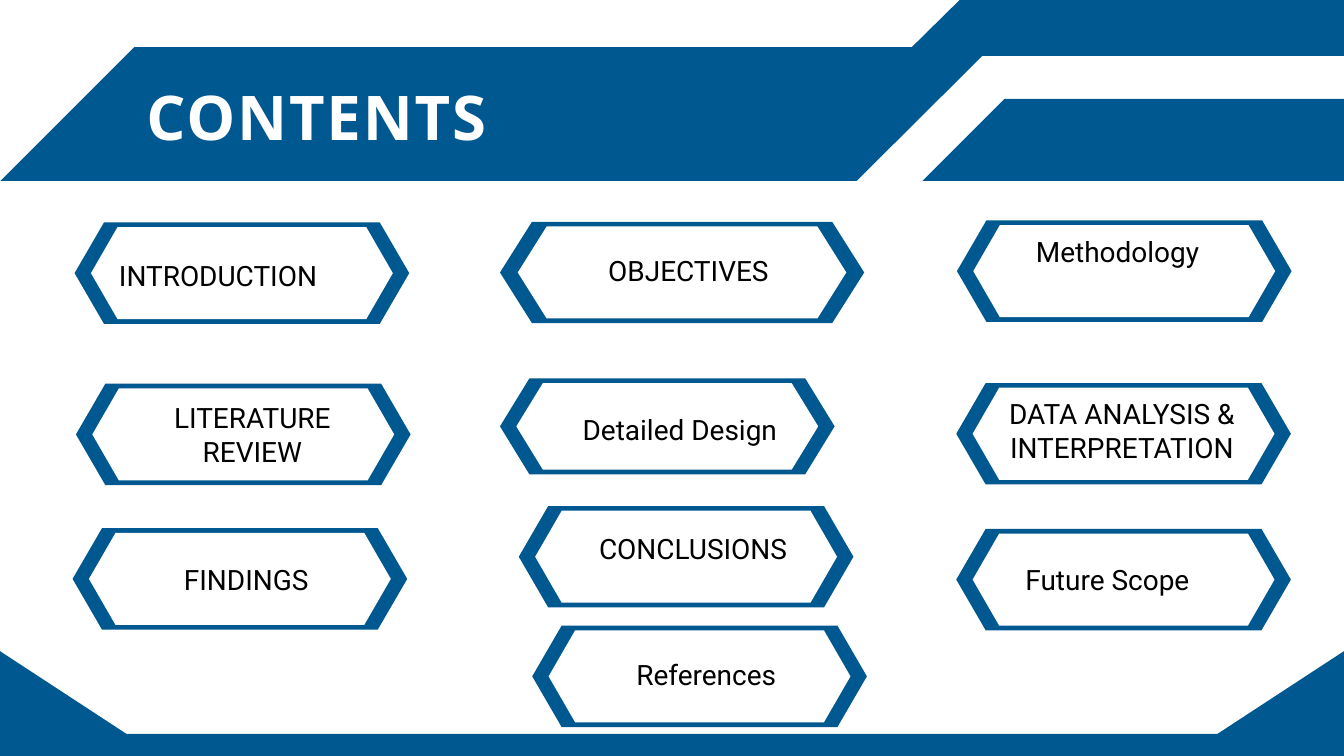
import pptx
import pptx.dml.color
import pptx.enum.shapes
import pptx.enum.text
import pptx.util
from dataclasses import dataclass

ALIGN = pptx.enum.text.PP_ALIGN


@dataclass(frozen=True)
class Theme:
    blue: str = "005891"
    white: str = "FFFFFF"
    black: str = "000000"
    title_font: str = "Noto Sans"
    body_font: str = "Roboto"
    title_size: float = 66
    body_size: float = 30


COLS, ROWS = 20, 11.25
UNIT = pptx.util.Inches(1)  # one grid column is as wide as one row is high
CARD_W, CARD_H = 4.98, 1.51
TIP = 0.088                 # hexagon tip as a share of its width
INNER_W, RIM = 0.902, 0.07  # inner width as a share, rim above and below

# card left, top, text, text left, top, width, format
CARDS = [
    (1.11, 3.31, "INTRODUCTION", 1.76, 3.83, 3.88,
     dict(align=ALIGN.LEFT, indent=0.01, before=1)),
    (7.44, 3.3, "OBJECTIVES", 8.45, 3.76, 3.17, dict(card_w=5.42)),
    (14.24, 3.28, "Methodology", 14.84, 3.48, 3.16, {}),
    (1.13, 5.71, "LITERATURE REVIEW", 1.75, 5.95, 3.59, {}),
    (7.44, 5.63, "Detailed Design", 7.92, 5.88, 3.98,
     dict(card_h=1.43, align=ALIGN.JUSTIFY, indent=0.75, spacing=1.5)),
    (14.23, 5.7, "DATA ANALYSIS & INTERPRETATION", 14.24, 5.89, 4.49, {}),
    (1.08, 7.86, "FINDINGS", 1.76, 8.36, 3.39, {}),
    (7.72, 7.53, "CONCLUSIONS", 8.37, 7.9, 3.47, {}),
    (14.23, 7.87, "Future Scope", 14.42, 8.36, 3.7, {}),
    (7.92, 9.31, "References", 8.45, 9.77, 3.7, {}),
]
HEADER = [
    [(COLS, 1.47), (14.95, 1.47), (13.73, 2.69), (COLS, 2.69)],
    [(COLS, 0), (14.28, 0), (13.57, 0.7), (2, 0.7), (0.01, 2.69),
     (12.75, 2.69), (14.62, 0.83), (COLS, 0.83)],
]
FOOTER = [[(0, 9.69), (1.88, 10.92), (18.12, 10.92), (COLS, 9.69),
           (COLS, ROWS), (0, ROWS)]]


def grid(*values):
    return [pptx.util.Emu(round(v * UNIT)) for v in values]


def write(tf, text, *, font, size, color, bold=False, align=ALIGN.CENTER,
          indent=0.42, before=0.1, spacing=None, tracking=None, inset=0.01):
    tf.word_wrap = True
    tf.auto_size = pptx.enum.text.MSO_AUTO_SIZE.SHAPE_TO_FIT_TEXT
    tf.vertical_anchor = pptx.enum.text.MSO_ANCHOR.TOP
    tf.margin_left = tf.margin_right = tf.margin_bottom = 0
    tf.margin_top = grid(inset)[0]
    p = tf.paragraphs[0]
    p.alignment = align
    p.space_before = pptx.util.Pt(before)
    if spacing:
        p.line_spacing = spacing
    pPr = p._p.get_or_add_pPr()
    pPr.set("marL", str(grid(indent)[0]))
    pPr.set("indent", "0")
    r = p.add_run()
    r.text = text
    r.font.name, r.font.size, r.font.bold = font, pptx.util.Pt(size), bold
    r.font.color.rgb = pptx.dml.color.RGBColor.from_string(color)
    if tracking:
        r.font._element.set("spc", str(tracking * 100))


class Deck:
    def __init__(self, theme):
        self.theme = theme
        self.prs = pptx.Presentation()
        self.prs.slide_width, self.prs.slide_height = grid(COLS, ROWS)

    def add_slide(self):
        self.s = self.prs.slides.add_slide(self.prs.slide_layouts[5])

    def paint(self, sp, color):
        sp.shadow.inherit = False
        sp.fill.solid()
        sp.fill.fore_color.rgb = pptx.dml.color.RGBColor.from_string(color)
        sp.line.fill.background()

    def outline(self, contours):
        """Draw one blue shape from closed contours of grid points."""
        first, *rest = [[grid(*pt) for pt in c] for c in contours]
        builder = self.s.shapes.build_freeform(*first[0])
        builder.add_line_segments(first[1:])
        for contour in rest:
            builder.move_to(*contour[0])
            builder.add_line_segments(contour[1:])
        self.paint(builder.convert_to_shape(), self.theme.blue)

    def hexagon(self, left, top, width, height, color):
        sp = self.s.shapes.add_shape(pptx.enum.shapes.MSO_SHAPE.HEXAGON,
                                     *grid(left, top, width, height))
        sp.adjustments[0] = TIP * width / height
        self.paint(sp, color)

    def card(self, left, top, width=CARD_W, height=CARD_H):
        self.hexagon(left, top, width, height, self.theme.blue)
        inner = width * INNER_W
        self.hexagon(left + (width - inner) / 2, top + RIM,
                     inner, height - 2 * RIM, self.theme.white)

    def label(self, text, left, top, width, **fmt):
        sp = self.s.shapes.add_textbox(*grid(left, top, width, 0.52))
        write(sp.text_frame, text, font=self.theme.body_font,
              size=self.theme.body_size, color=self.theme.black, **fmt)

    def title(self, text, left, top, width, height):
        sp = self.s.shapes.title
        sp.left, sp.top, sp.width, sp.height = grid(left, top, width, height)
        write(sp.text_frame, text, font=self.theme.title_font,
              size=self.theme.title_size, color=self.theme.white, bold=True,
              align=ALIGN.LEFT, indent=0.01, before=1, tracking=2, inset=0.25)
        # bring the title in front of the header band
        sp.element.getparent().append(sp.element)


def main():
    deck = Deck(Theme())
    deck.add_slide()
    deck.outline(FOOTER)
    deck.outline(HEADER)
    deck.title("CONTENTS", 2.17, 0.92, 10.5, 1.46)
    for left, top, text, text_left, text_top, text_width, options in CARDS:
        fmt = dict(options)
        deck.card(left, top, fmt.pop("card_w", CARD_W), fmt.pop("card_h", CARD_H))
        deck.label(text, text_left, text_top, text_width, **fmt)
    deck.prs.save("out.pptx")


if __name__ == "__main__":
    main()
